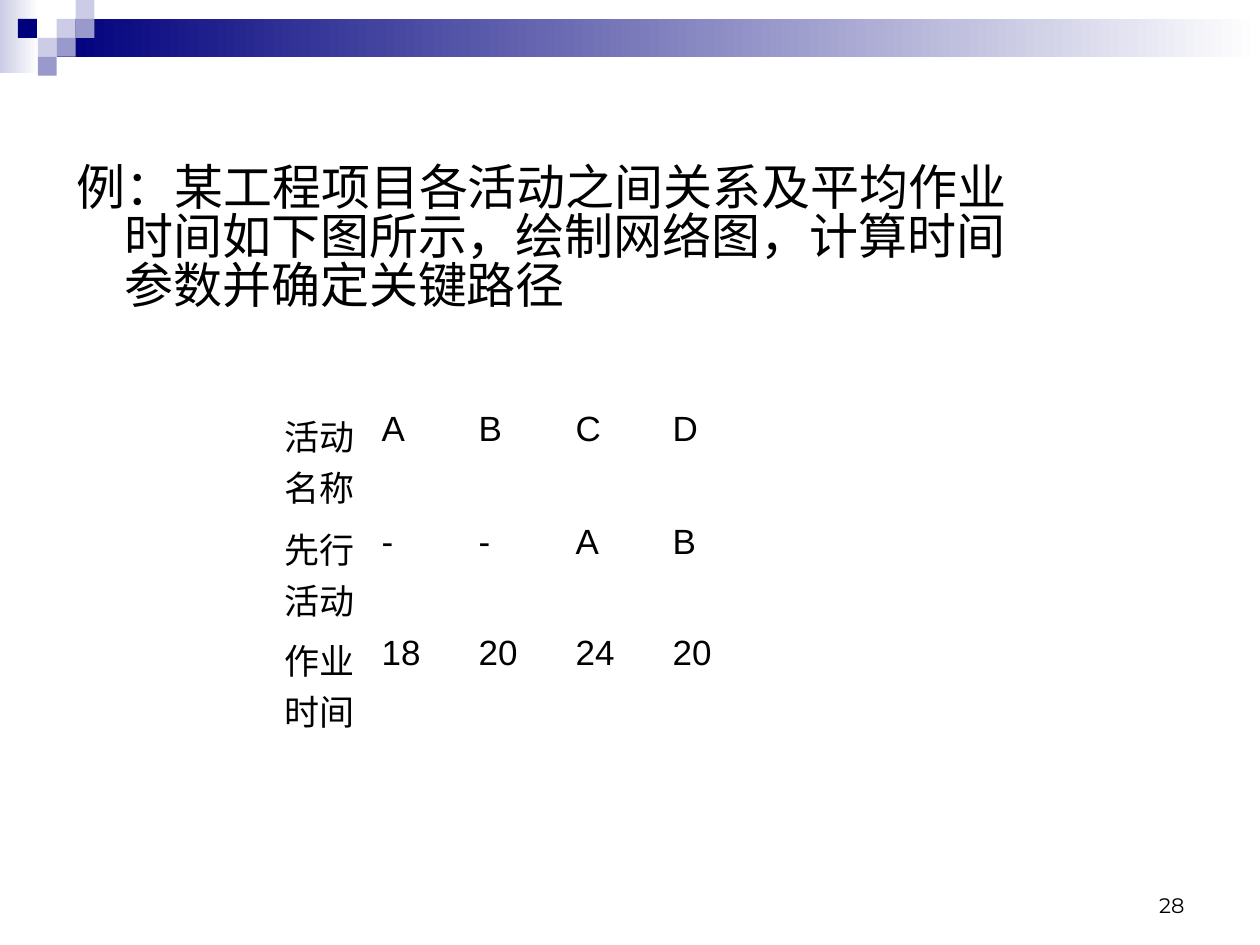
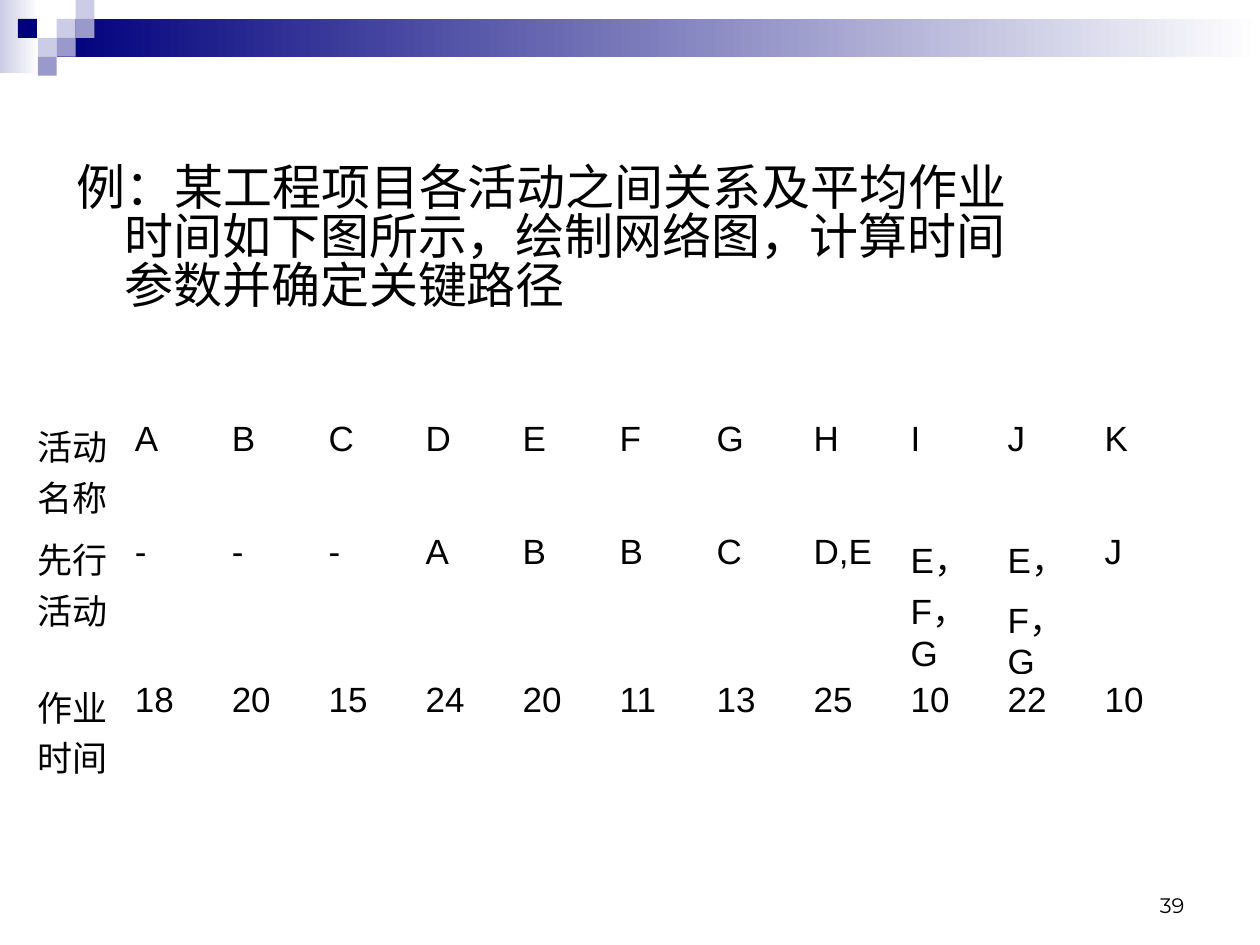
from lxml import etree
from pptx import Presentation
from pptx.dml.color import RGBColor
from pptx.enum.shapes import MSO_SHAPE
from pptx.enum.text import MSO_ANCHOR, PP_ALIGN
from pptx.oxml.ns import qn
from pptx.util import Inches, Pt

RECTANGLE = MSO_SHAPE.RECTANGLE
BOTTOM = MSO_ANCHOR.BOTTOM
RIGHT = PP_ALIGN.RIGHT

NAVY, LILAC, PALE, WHITE, BLACK = "00007D", "9999CC", "CCCCE6", "FFFFFF", "000000"
WIDTH, HEIGHT = 10, 7.5
TILE = 0.15
COLUMN = 0.77

QUESTION = "例：某工程项目各活动之间关系及平均作业时间如下图所示，绘制网络图，计算时间参数并确定关键路径"

BANDS = [
    (0, 0, 0.31, 0.58, PALE),
    (3 * TILE, TILE, WIDTH - 3 * TILE, 2 * TILE, NAVY),
]
TILES = [
    (3, 1, PALE),
    (4, 0, PALE),
    (4, 1, LILAC),
    (2, 2, PALE),
    (0.95, 1, NAVY),
    (3, 2, LILAC),
    (2, 3, LILAC),
]

EXAMPLES = [
    {
        "page": "28",
        "left": 2.16,
        "top": 3.2,
        "row_heights": [0.9, 0.88, 0.82],
        "activities": [
            ["活动名称", "A", "B", "C", "D"],
            ["先行活动", "-", "-", "A", "B"],
            ["作业时间", "18", "20", "24", "20"],
        ],
    },
    {
        "page": "39",
        "left": 0.2,
        "top": 3.28,
        "row_heights": [0.9, 1.12, 0.82],
        "activities": [
            ["活动名称", "A", "B", "C", "D", "E", "F", "G", "H", "I", "J", "K"],
            ["先行活动", "-", "-", "-", "A", "B", "B", "C", "D,E", "E，F，G", "E，\nF，G", "J"],
            ["作业时间", "18", "20", "15", "24", "20", "11", "13", "25", "10", "22", "10"],
        ],
    },
]


def color(hex_code):
    return RGBColor.from_string(hex_code)


def style(paragraph, size, name="Arial"):
    paragraph.font.size = Pt(size)
    paragraph.font.name = name
    paragraph.font.color.rgb = color(BLACK)


prs = Presentation()
prs.slide_width = Inches(WIDTH)
prs.slide_height = Inches(HEIGHT)

for example in EXAMPLES:
    slide = prs.slides.add_slide(prs.slide_layouts[6])

    tiles = [(col * TILE, row * TILE, TILE, TILE, tint) for col, row, tint in TILES]
    for index, (*box, tint) in enumerate(BANDS + tiles):
        block = slide.shapes.add_shape(RECTANGLE, *map(Inches, box))
        block.shadow.inherit = False
        block.line.fill.background()
        if index < len(BANDS):
            block.fill.gradient()
            block.fill.gradient_angle = 0
            for stop, position, stop_tint in zip(block.fill.gradient_stops, (0, 1), (tint, WHITE)):
                stop.position = position
                stop.color.rgb = color(stop_tint)
        else:
            block.fill.solid()
            block.fill.fore_color.rgb = color(tint)

    page_number = slide.shapes.add_textbox(Inches(7.17), Inches(6.83), Inches(2.33), Inches(0.5)).text_frame
    page_number.word_wrap = True
    page_number.vertical_anchor = BOTTOM
    page_number.text = example["page"]
    page_number.paragraphs[0].alignment = RIGHT
    style(page_number.paragraphs[0], 12, "Montserrat")

    question = slide.shapes.add_textbox(Inches(0.51), Inches(1.23), Inches(7.8), Inches(1.65)).text_frame
    question.word_wrap = True
    question.margin_top = Inches(0.09)
    question.text = QUESTION
    statement = question.paragraphs[0]
    hanging = statement._p.get_or_add_pPr()
    hanging.set("marL", str(Inches(0.38)))
    hanging.set("indent", str(-Inches(0.38)))
    statement.line_spacing = 0.83
    style(statement, 28)

    activities = example["activities"]
    row_heights = example["row_heights"]
    column_count = len(activities[0])
    schedule = slide.shapes.add_table(
        len(activities), column_count,
        Inches(example["left"]), Inches(example["top"]),
        Inches(column_count * COLUMN), Inches(sum(row_heights)),
    ).table
    for column in schedule.columns:
        column.width = Inches(COLUMN)
    for r, (row_height, entries) in enumerate(zip(row_heights, activities)):
        schedule.rows[r].height = Inches(row_height)
        for c, entry in enumerate(entries):
            cell = schedule.cell(r, c)
            cell.text = entry
            for side in ("a:lnL", "a:lnR", "a:lnT", "a:lnB"):
                border = etree.SubElement(cell._tc.get_or_add_tcPr(), qn(side), w=str(Pt(0.45)))
                border_fill = etree.SubElement(border, qn("a:solidFill"))
                etree.SubElement(border_fill, qn("a:srgbClr"), val=WHITE)
            cell.fill.background()
            for p, paragraph in enumerate(cell.text_frame.paragraphs):
                if p:
                    paragraph.space_before = Pt(5)
                style(paragraph, 20)
                paragraph.font.bold = False

prs.save("out.pptx")
